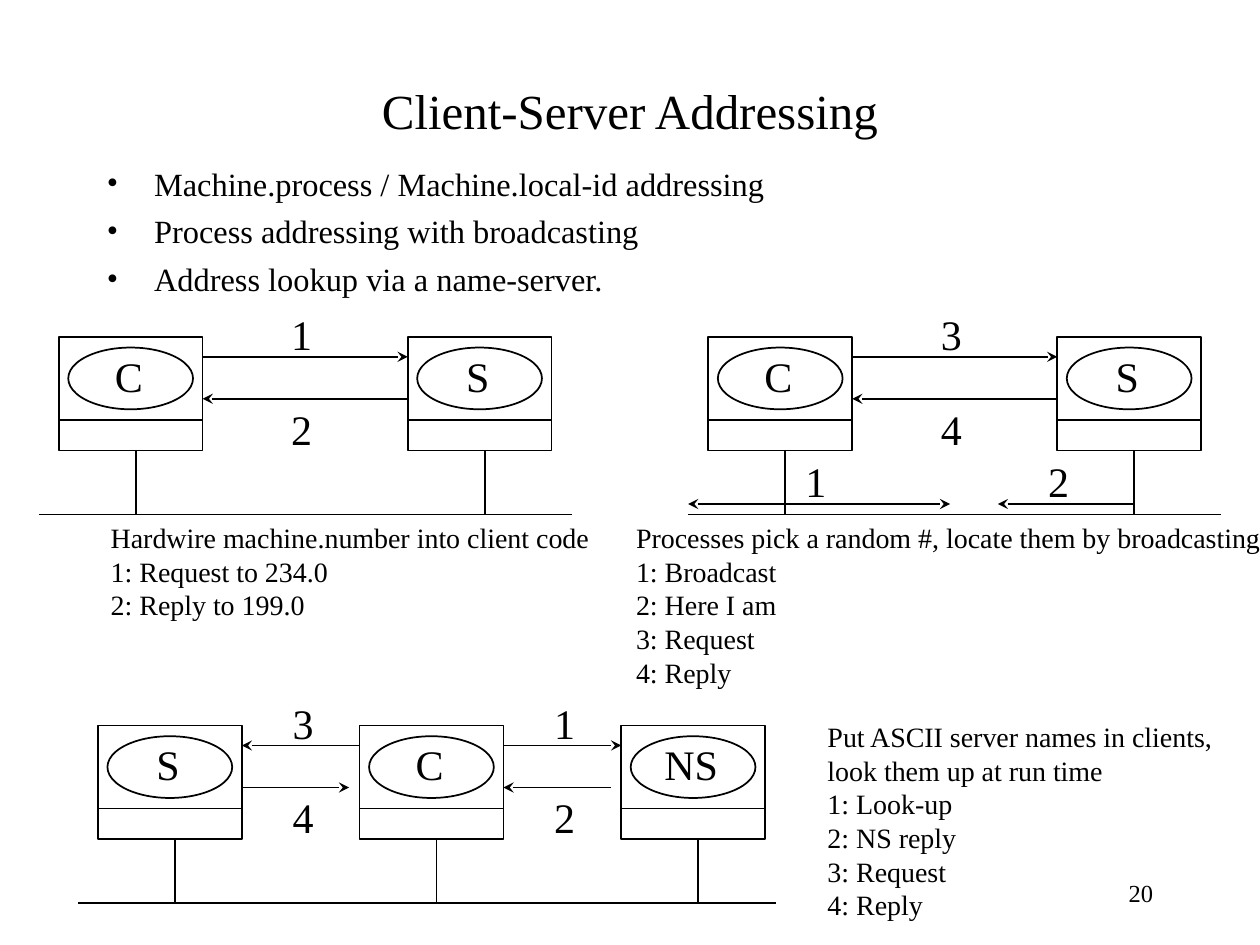
from lxml import etree
from pptx import Presentation
from pptx.dml.color import RGBColor
from pptx.enum import shapes, text
from pptx.oxml import ns
from pptx.util import Pt

FONT = "Times New Roman"
BLACK = "000000"
TITLE = "Client-Server Addressing"
BULLETS = [
    "Machine.process / Machine.local-id addressing",
    "Process addressing with broadcasting",
    "Address lookup via a name-server.",
]
NETWORKS = [
    {"left": 33.6, "top": 192.4, "pitch": 199.4, "machines": ["C", "S"],
     "links": [("1", "right", "2", "left")],
     "label_shift": -2, "gap": 0, "bus": (22.2, 326.8)},
    {"left": 404.8, "top": 192.4, "pitch": 199.4, "machines": ["C", "S"],
     "links": [("3", "right", "4", "left")],
     "label_shift": -2, "gap": 0, "bus": (393.2, 697.8)},
    {"left": 56, "top": 414.5, "pitch": 149.5, "machines": ["S", "C", "NS"],
     "links": [("3", "left", "4", "right"), ("1", "right", "2", "left")],
     "label_shift": 1.3, "gap": 6, "bus": (44.6, 443.5)},
]
BROADCASTS = [
    ("1", 393.2, 542.9, "both", 466.2),
    ("2", 570.2, 648, "left", 605),
]
NOTES = [
    (56.2, 294, 288, ["Hardwire machine.number into client code",
                      "1: Request to 234.0", "2: Reply to 199.0"]),
    (356.4, 294, 371.5, ["Processes pick a random #, locate them by broadcasting",
                         "1: Broadcast", "2: Here I am", "3: Request", "4: Reply"]),
    (465.8, 407.8, 235.4, ["Put ASCII server names in clients,",
                           "look them up at run time", "1: Look-up",
                           "2: NS reply", "3: Request", "4: Reply"]),
]
MACHINE_WIDTH, MACHINE_HEIGHT = 82.2, 65
DIVIDER, BUS = 47.5, 101.6
UPPER_ARROW, LOWER_ARROW = 11.5, 35.5
ARROW_ENDS = {"left": ["headEnd"], "right": ["tailEnd"],
              "both": ["headEnd", "tailEnd"], "none": []}

presentation = Presentation()
presentation.slide_width, presentation.slide_height = Pt(720), Pt(540)
slide = presentation.slides.add_slide(presentation.slide_layouts[6])


def color(value):
    return RGBColor.from_string(value)


def add_text(lines, left, top, width, height, size, align="LEFT",
             anchor="TOP", wrap=False, bulleted=False):
    box = slide.shapes.add_textbox(Pt(left), Pt(top), Pt(width), Pt(height))
    frame = box.text_frame
    frame.text = "\n".join(lines)
    frame.word_wrap = wrap
    frame.vertical_anchor = text.MSO_ANCHOR[anchor]
    for index, paragraph in enumerate(frame.paragraphs):
        paragraph.alignment = text.PP_ALIGN[align]
        if bulleted:
            properties = paragraph._p.get_or_add_pPr()
            properties.set("marL", str(Pt(27)))
            properties.set("indent", str(-Pt(27)))
            etree.SubElement(properties, ns.qn("a:buFont")).set("typeface", FONT)
            etree.SubElement(properties, ns.qn("a:buChar")).set("char", "•")
            paragraph.space_before = Pt(5 if index else 0)
        for run in paragraph.runs:
            run.font.name = FONT
            run.font.size = Pt(size)
            run.font.color.rgb = color(BLACK)


def add_label(label, center, top):
    width = 15 + 16 * len(label)
    add_text([label], center - width / 2, top, width, 36, 24, "CENTER")


def add_outline(kind, left, top, width, height):
    shape = slide.shapes.add_shape(kind, Pt(left), Pt(top), Pt(width), Pt(height))
    shape.shadow.inherit = False
    shape.fill.background()
    shape.line.color.rgb = color(BLACK)
    shape.line.width = Pt(1)


def add_line(x1, y1, x2, y2, arrow="none"):
    connector = slide.shapes.add_connector(
        shapes.MSO_CONNECTOR.STRAIGHT, Pt(x1), Pt(y1), Pt(x2), Pt(y2))
    connector.line.color.rgb = color(BLACK)
    connector.line.width = Pt(1)
    for end in ARROW_ENDS[arrow]:
        etree.SubElement(connector.line._get_or_add_ln(),
                         ns.qn("a:" + end)).set("type", "stealth")
    etree.SubElement(connector._element.spPr, ns.qn("a:effectLst"))


def add_machine(name, left, top):
    add_outline(shapes.MSO_SHAPE.RECTANGLE, left, top, MACHINE_WIDTH, MACHINE_HEIGHT)
    add_line(left, top + DIVIDER, left + MACHINE_WIDTH, top + DIVIDER)
    add_outline(shapes.MSO_SHAPE.OVAL, left + 5.4, top + 6.2, 71.3, 35.3)
    add_label(name, left + 40, top + 4.2)
    add_line(left + 44, top + MACHINE_HEIGHT, left + 44, top + BUS)


def add_network(network):
    top = network["top"]
    lefts = [network["left"] + i * network["pitch"]
             for i in range(len(network["machines"]))]
    for name, left in zip(network["machines"], lefts):
        add_machine(name, left, top)
    for left, end, link in zip(lefts, lefts[1:], network["links"]):
        upper, upper_arrow, lower, lower_arrow = link
        start = left + MACHINE_WIDTH
        center = (start + end) / 2 + network["label_shift"]
        add_line(start, top + UPPER_ARROW, end, top + UPPER_ARROW, upper_arrow)
        add_line(start, top + LOWER_ARROW, end - network["gap"],
                 top + LOWER_ARROW, lower_arrow)
        add_label(upper, center, top - 19.6)
        add_label(lower, center, top + 34.4)
    bus_start, bus_end = network["bus"]
    add_line(bus_start, top + BUS, bus_end, top + BUS)


add_text(["20"], 516.2, 492, 149.8, 36, 14, "RIGHT", "MIDDLE")
add_text([TITLE], 54, 48, 612, 30, 28, "CENTER", "MIDDLE", wrap=True)
add_text(BULLETS, 54, 90, 612, 84, 18.5, wrap=True, bulleted=True)
for network in NETWORKS:
    add_network(network)
for label, start, end, arrow, center in BROADCASTS:
    add_line(start, 288, end, 288, arrow)
    add_label(label, center, 257)
for left, top, width, lines in NOTES:
    add_text(lines, left, top, width, 7.2 + 19.2 * len(lines), 16)

presentation.save("out.pptx")
